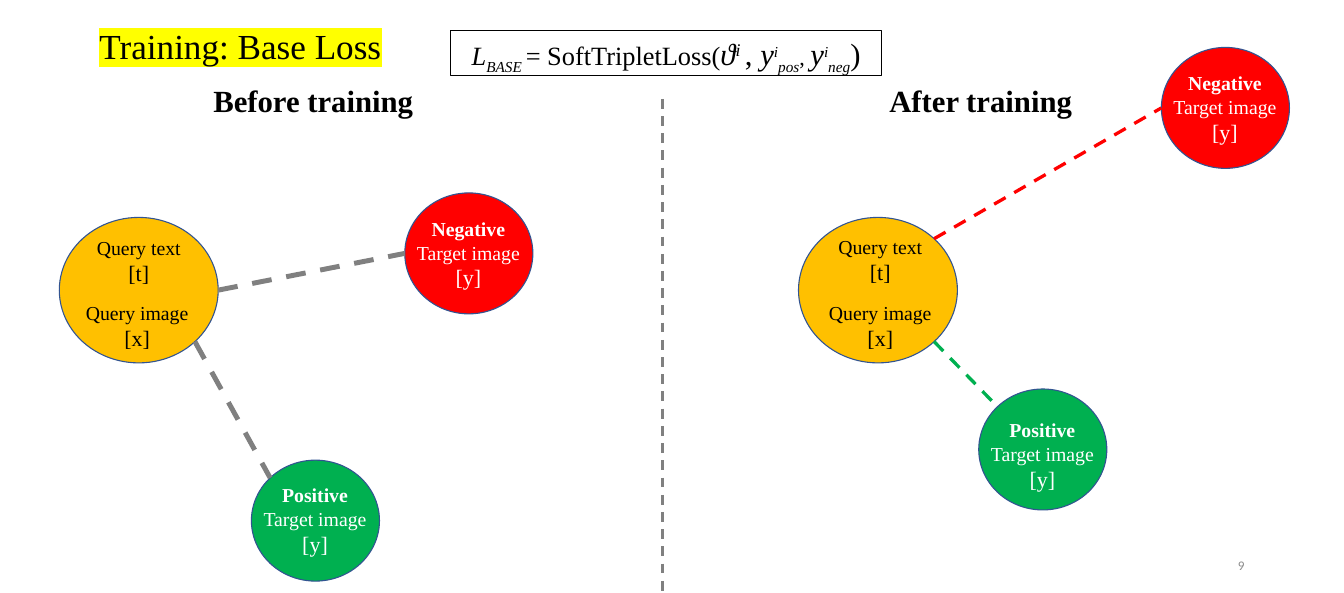
from dataclasses import dataclass
from math import cos, radians, sin

from lxml.etree import SubElement
from pptx import Presentation
from pptx.dml.color import RGBColor
from pptx.enum.dml import MSO_LINE
from pptx.enum.shapes import MSO_CONNECTOR, MSO_SHAPE
from pptx.enum.text import MSO_ANCHOR, MSO_AUTO_SIZE, PP_ALIGN
from pptx.oxml import parse_xml
from pptx.oxml.ns import nsdecls, qn
from pptx.util import Emu, Inches, Pt


@dataclass(frozen=True)
class Theme:
    serif: str = "Times New Roman"
    sans: str = "Calibri"
    black: str = "000000"
    white: str = "FFFFFF"
    gray: str = "808080"
    number: str = "8C8C8C"
    outline: str = "325491"
    query: str = "FFC000"
    negative: str = "FF0000"
    positive: str = "00B050"
    highlight: str = "FFFF00"
    title_size: int = 32
    heading_size: int = 28
    symbol_size: int = 28
    formula_size: int = 24
    variable_size: int = 20
    label_size: int = 18
    number_size: int = 12


THEME = Theme()


def color(value):
    return RGBColor.from_string(value)


def add_span(para, text, size, ink=THEME.black, bold=False, italic=False,
             font=THEME.serif, baseline=0):
    span = para.add_run()
    span.text = text
    span.font.name = font
    span.font.size = Pt(size)
    span.font.bold = bold
    span.font.italic = italic
    span.font.color.rgb = color(ink)
    if baseline:
        span.font._element.set("baseline", str(baseline * 1000))
    return span


def add_box(slide, left, top, width, height, wrap=True):
    box = slide.shapes.add_textbox(
        Inches(left), Inches(top), Inches(width), Inches(height))
    box.text_frame.word_wrap = wrap
    box.text_frame.auto_size = MSO_AUTO_SIZE.SHAPE_TO_FIT_TEXT
    return box


def add_label(slide, left, top, width, height, lines, ink):
    frame = add_box(slide, left, top, width, height).text_frame
    for index, (text, size, bold) in enumerate(lines):
        para = frame.add_paragraph() if index else frame.paragraphs[0]
        para.alignment = PP_ALIGN.CENTER
        add_span(para, text, size, ink, bold)


def add_circle(slide, left, top, width, height, fill):
    circle = slide.shapes.add_shape(
        MSO_SHAPE.OVAL, Inches(left), Inches(top), Inches(width), Inches(height))
    circle.shadow.inherit = False
    circle.fill.solid()
    circle.fill.fore_color.rgb = color(fill)
    circle.line.color.rgb = color(THEME.outline)
    circle.line.width = Pt(1)
    return circle


def add_query(slide, left, text_at, image_at):
    circle = add_circle(slide, left, 2.75, 2.01, 1.84, THEME.query)
    for name, variable, width, (x, y) in (
            ("Query text", "[t]", 1.45, text_at), ("Query image", "[x]", 1.71, image_at)):
        lines = [(name, THEME.label_size, False), (variable, THEME.variable_size, False)]
        add_label(slide, x, y, width, 0.74, lines, THEME.black)
    return circle


def add_target(slide, left, top, name, fill, label_drop):
    circle = add_circle(slide, left, top, 1.62, 1.53, fill)
    lines = [(name, THEME.label_size, True),
             ("Target image", THEME.label_size, False),
             ("[y]", THEME.variable_size, False)]
    add_label(slide, left + 0.04, top + label_drop, 1.53, 1.04, lines, THEME.white)
    return circle


def rim(circle, degrees):
    angle = radians(degrees)
    return (Emu(int(circle.left + circle.width * (1 + cos(angle)) / 2)),
            Emu(int(circle.top + circle.height * (1 + sin(angle)) / 2)))


def add_dashes(slide, start, end, ink, weight):
    line = slide.shapes.add_connector(MSO_CONNECTOR.STRAIGHT, *start, *end)
    line.line.color.rgb = color(ink)
    line.line.width = Pt(weight)
    line.line.dash_style = MSO_LINE.DASH
    SubElement(line._element.spPr, qn("a:effectLst"))


def add_title(slide):
    box = add_box(slide, 1.16, 0.26, 9.53, 0.64)
    span = add_span(box.text_frame.paragraphs[0], "Training: Base Loss", THEME.title_size)
    highlight = parse_xml(
        f'<a:highlight {nsdecls("a")}><a:srgbClr val="{THEME.highlight}"/></a:highlight>')
    span.font._element.find(qn("a:latin")).addprevious(highlight)


def add_heading(slide, left, width, text):
    box = add_box(slide, left, 0.99, width, 0.57, wrap=False)
    add_span(box.text_frame.paragraphs[0], text, THEME.heading_size, bold=True)


def add_formula(slide):
    box = slide.shapes.add_shape(
        MSO_SHAPE.RECTANGLE, Inches(5.7), Inches(0.39), Inches(5.45), Inches(0.57))
    box.shadow.inherit = False
    box.fill.background()
    box.line.color.rgb = color(THEME.black)
    box.line.width = Pt(0.75)
    frame = box.text_frame
    frame.word_wrap = True
    frame.auto_size = MSO_AUTO_SIZE.SHAPE_TO_FIT_TEXT
    frame.vertical_anchor = MSO_ANCHOR.TOP
    para = frame.paragraphs[0]
    para.alignment = PP_ALIGN.CENTER
    para.space_after = Pt(6)
    normal, symbol, small = THEME.formula_size, THEME.symbol_size, THEME.variable_size
    for text, size, italic, baseline in (
            ("L", normal, True, 0), ("BASE ", normal, True, -25),
            ("= SoftTripletLoss(", normal, False, 0),
            ("ϑ", symbol, True, 0), ("i ", symbol, True, 30), (", ", symbol, False, 0),
            ("y", symbol, True, 0), ("i", normal, True, 30), ("pos", normal, True, -25),
            (", ", small, False, 0),
            ("y", symbol, True, 0), ("i", normal, True, 30), ("neg", normal, True, -25),
            (")", symbol, False, 0)):
        add_span(para, text, size, italic=italic, baseline=baseline)


def add_page_number(slide):
    box = add_box(slide, 12.01, 6.95, 3.83, 0.4)
    box.text_frame.auto_size = MSO_AUTO_SIZE.NONE
    box.text_frame.vertical_anchor = MSO_ANCHOR.MIDDLE
    para = box.text_frame.paragraphs[0]
    para.alignment = PP_ALIGN.RIGHT
    add_span(para, "9", THEME.number_size, THEME.number, font=THEME.sans)


def add_before(slide):
    add_heading(slide, 2.6, 2.76, "Before training")
    query = add_query(slide, 0.75, (1.03, 2.93), (0.88, 3.75))
    negative = add_target(slide, 5.12, 2.44, "Negative", THEME.negative, 0.25)
    positive = add_target(slide, 3.18, 5.82, "Positive", THEME.positive, 0.24)
    add_dashes(slide, rim(query, 0), rim(negative, 180), THEME.gray, 4.5)
    add_dashes(slide, rim(query, 45), rim(positive, 225), THEME.gray, 4.5)


def add_after(slide):
    add_heading(slide, 11.15, 2.54, "After training")
    query = add_query(slide, 10.1, (10.41, 2.92), (10.28, 3.75))
    negative = add_target(slide, 14.69, 0.6, "Negative", THEME.negative, 0.25)
    positive = add_target(slide, 12.38, 4.92, "Positive", THEME.positive, 0.32)
    add_dashes(slide, rim(query, -45), rim(negative, 180), THEME.negative, 3)
    add_dashes(slide, rim(query, 45), rim(positive, 225), THEME.positive, 3)


def main():
    deck = Presentation()
    deck.slide_width, deck.slide_height = Inches(17), Inches(7.5)
    page = deck.slides.add_slide(deck.slide_layouts[6])
    add_title(page)
    add_before(page)
    add_after(page)
    add_dashes(page, (Inches(8.38), Inches(1.25)), (Inches(8.38), Inches(7.5)), THEME.gray, 2.25)
    add_formula(page)
    add_page_number(page)
    deck.save("out.pptx")


if __name__ == "__main__":
    main()
